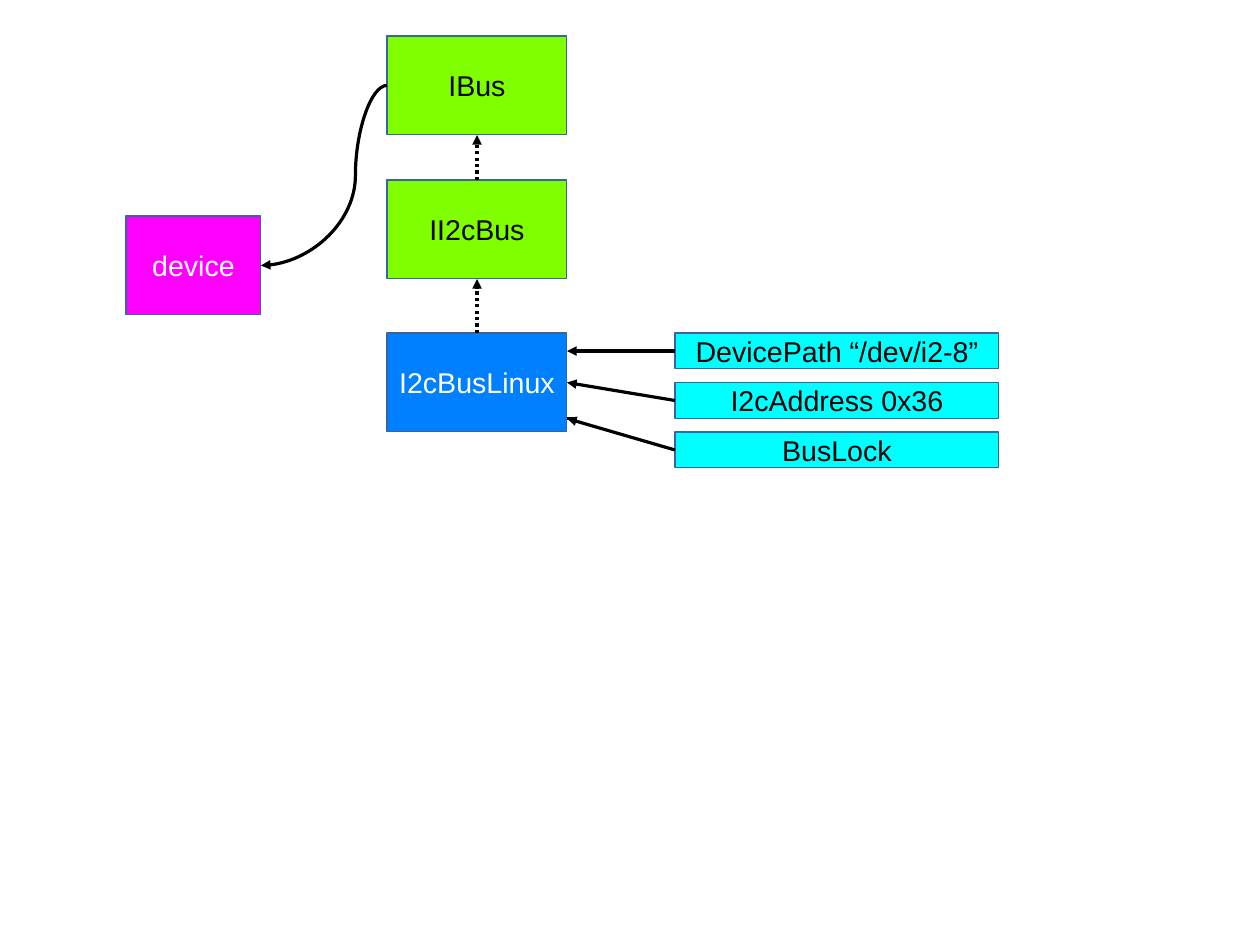
from lxml.etree import SubElement
from pptx import Presentation
from pptx.dml.color import RGBColor
from pptx.enum.dml import MSO_LINE
from pptx.enum.shapes import MSO_CONNECTOR, MSO_SHAPE
from pptx.enum.text import MSO_ANCHOR, PP_ALIGN
from pptx.oxml.ns import qn
from pptx.util import Cm, Pt

# Content: class name, role, top
CLASSES = [("IBus", "interface", 0.8), ("II2cBus", "interface", 4.0), ("I2cBusLinux", "driver", 7.4)]
# Setting label, height at which its arrow meets the driver
SETTINGS = [("DevicePath “/dev/i2-8”", 7.8), ("I2cAddress 0x36", 8.5), ("BusLock", 9.3)]

THEME = {
    "interface": ("7FFF00", "000000"),
    "driver": ("007FFF", "FFFFFF"),
    "device": ("FF00FF", "FFFFFF"),
    "setting": ("00FFFF", "000000"),
    "outline": "3465A4",
    "arrow": "000000",
    "font": {"name": "Arial", "size": Pt(18)},
}

# Layout in centimetres
CLASS_LEFT, CLASS_WIDTH, BOX_HEIGHT = 8.6, 4.0, 2.2
CLASS_RIGHT, CLASS_MIDDLE = CLASS_LEFT + CLASS_WIDTH, CLASS_LEFT + CLASS_WIDTH / 2
DEVICE_LEFT, DEVICE_TOP, DEVICE_WIDTH = 2.8, 4.8, 3.0
SETTING_LEFT, SETTING_TOP, SETTING_WIDTH, SETTING_HEIGHT, SETTING_STEP = 15.0, 7.4, 7.2, 0.8, 1.1


def add_box(page, text, role, left, top, width, height):
    fill, ink = THEME[role]
    box = page.shapes.add_shape(MSO_SHAPE.RECTANGLE, Cm(left), Cm(top), Cm(width), Cm(height))
    box.shadow.inherit = False
    box.fill.solid()
    box.fill.fore_color.rgb = RGBColor.from_string(fill)
    box.line.color.rgb = RGBColor.from_string(THEME["outline"])
    box.line.width = Pt(0)
    frame = box.text_frame
    frame.word_wrap = False
    frame.vertical_anchor = MSO_ANCHOR.MIDDLE
    para = frame.paragraphs[0]
    para.alignment = PP_ALIGN.CENTER
    span = para.add_run()
    span.text = text
    for name, value in THEME["font"].items():
        setattr(span.font, name, value)
    span.font.color.rgb = RGBColor.from_string(ink)


def add_line(page, start, end, kind=MSO_CONNECTOR.STRAIGHT, dash=None, head=True):
    line = page.shapes.add_connector(kind, *(Cm(value) for value in (*start, *end)))
    line.line.color.rgb = RGBColor.from_string(THEME["arrow"])
    line.line.width = Pt(0)
    if dash:
        line.line.dash_style = dash
    properties = line._element.spPr
    if head:
        SubElement(properties.find(qn("a:ln")), qn("a:tailEnd"), type="triangle")
    SubElement(properties, qn("a:effectLst"))
    return line


def main():
    deck = Presentation()
    deck.slide_width, deck.slide_height = Cm(28), Cm(21)
    page = deck.slides.add_slide(deck.slide_layouts[6])

    # Class hierarchy and device
    for name, role, top in CLASSES:
        add_box(page, name, role, CLASS_LEFT, top, CLASS_WIDTH, BOX_HEIGHT)
    add_box(page, "device", "device", DEVICE_LEFT, DEVICE_TOP, DEVICE_WIDTH, BOX_HEIGHT)

    # Inheritance arrows
    for (_, _, parent_top), (_, _, child_top) in zip(CLASSES, CLASSES[1:]):
        add_line(page, (CLASS_MIDDLE, child_top), (CLASS_MIDDLE, parent_top + BOX_HEIGHT),
                 dash=MSO_LINE.ROUND_DOT)

    # Settings and their arrows into the driver
    for index, (label, target) in enumerate(SETTINGS):
        top = SETTING_TOP + index * SETTING_STEP
        add_box(page, label, "setting", SETTING_LEFT, top, SETTING_WIDTH, SETTING_HEIGHT)
        add_line(page, (SETTING_LEFT, top + SETTING_HEIGHT / 2), (CLASS_RIGHT, target))

    # Short tick where the last setting arrives
    add_line(page, (CLASS_RIGHT, target), (CLASS_RIGHT + 0.2, target), head=False)

    # Curve from the bus interface to the device, bending a quarter of the way
    curve = add_line(page, (CLASS_LEFT, CLASSES[0][2] + BOX_HEIGHT / 2),
                     (DEVICE_LEFT + DEVICE_WIDTH, DEVICE_TOP + BOX_HEIGHT / 2), MSO_CONNECTOR.CURVE)
    adjustments = curve._element.spPr.find(qn("a:prstGeom")).find(qn("a:avLst"))
    SubElement(adjustments, qn("a:gd"), name="adj1", fmla="val 25000")

    deck.save("out.pptx")


if __name__ == "__main__":
    main()
